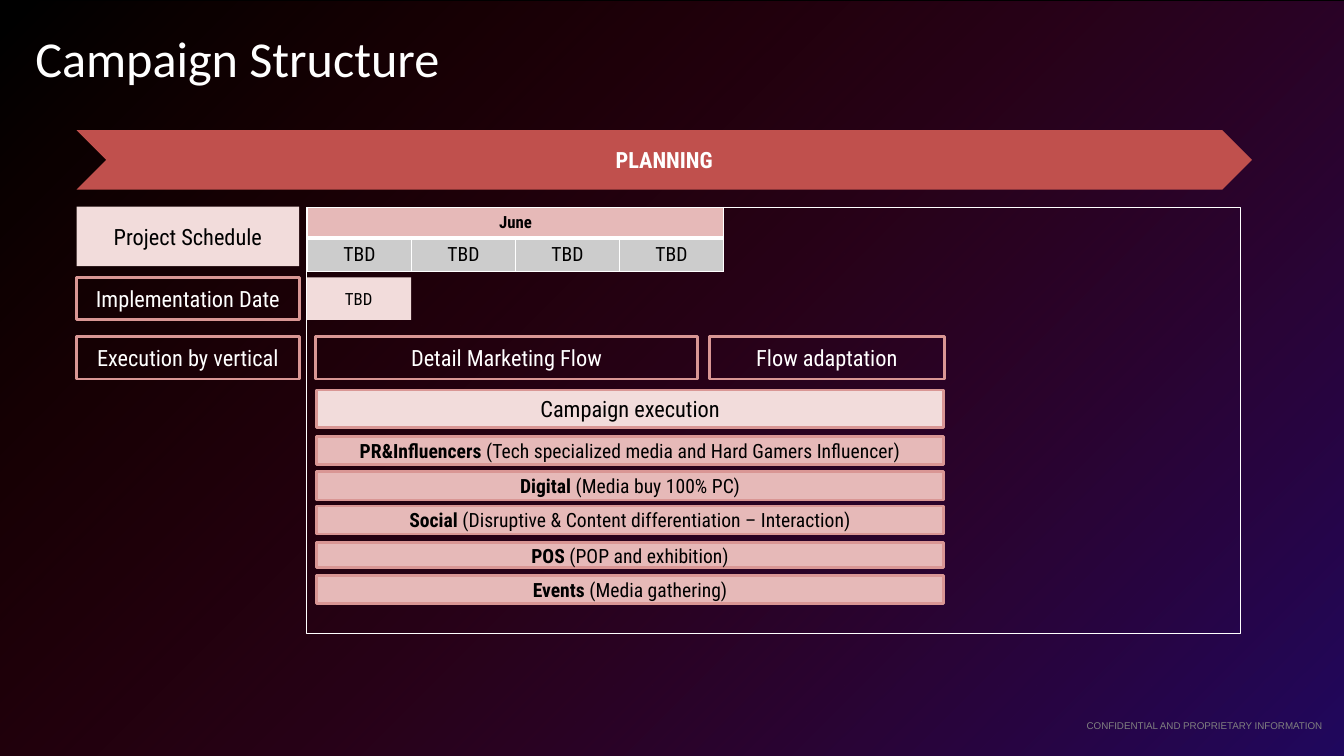
"""Build the Campaign Structure slide: a planning arrow, a schedule table and execution bars."""
from dataclasses import dataclass
from typing import Optional

from lxml import etree
from pptx import Presentation, util as u
from pptx.dml.color import RGBColor
from pptx.enum import shapes, text
from pptx.oxml import ns

COLORS = {
    "black": "000000", "white": "FFFFFF", "grey": "808080", "silver": "CCCCCC",
    "red": "C0504D", "rose": "D99694", "pink": "E6B9B8", "blush": "F2DCDB",
    "glow_start": "FF0000", "glow_end": "4210C0",
}
FONT = "Roboto Condensed"
RECT, CHEVRON = shapes.MSO_SHAPE.RECTANGLE, shapes.MSO_SHAPE.CHEVRON
LABEL_LEFT, LABEL_WIDTH, LABEL_HEIGHT = 1.93, 5.61, 1.07
DATE_TOP, FLOW_TOP = 6.99, 8.48
FRAME_LEFT, FRAME_TOP = 7.72, 5.23
BAR_LEFT, BAR_WIDTH = 7.98, 15.8


@dataclass
class Box:
    left: float
    top: float
    width: float
    height: float
    label: str = ""
    detail: str = ""
    fill: Optional[str] = None
    line: Optional[str] = None
    line_width: float = 2
    color: str = "white"
    size: float = 16
    bold: bool = False
    kind: shapes.MSO_SHAPE = RECT


@dataclass
class Caption:
    left: float
    top: float
    width: float
    height: float
    label: str
    font: str
    size: float
    color: str
    align: text.PP_ALIGN
    inset_x: float
    inset_y: float


def rgb(name: str) -> RGBColor:
    return RGBColor.from_string(COLORS[name])


def style_font(font, name: str, size: float, color: str) -> None:
    font.name, font.size = name, u.Pt(size)
    font.color.rgb = rgb(color)


def draw_box(page, box: Box):
    shape = page.shapes.add_shape(
        box.kind, u.Cm(box.left), u.Cm(box.top), u.Cm(box.width), u.Cm(box.height))
    shape.shadow.inherit = False
    if box.fill:
        shape.fill.solid()
        shape.fill.fore_color.rgb = rgb(box.fill)
    else:
        shape.fill.background()
    if box.line:
        shape.line.color.rgb = rgb(box.line)
        shape.line.width = u.Pt(box.line_width)
    else:
        shape.line.fill.background()
    if box.label:
        shape.text_frame.vertical_anchor = text.MSO_ANCHOR.MIDDLE
        para = shape.text_frame.paragraphs[0]
        para.alignment = text.PP_ALIGN.CENTER
        style_font(para.font, FONT, box.size, box.color)
        span = para.add_run()
        span.text = box.label
        span.font.bold = box.bold
        if box.detail:
            para.add_run().text = f" {box.detail}"
    return shape


def draw_glow(page, width: float, height: float) -> None:
    shape = draw_box(page, Box(0, 0.03, width, height))
    shape.fill.gradient()
    shape.fill.gradient_angle = 315
    stops = shape.fill.gradient_stops
    for stop, position, color in zip(stops, (0, 1), ("glow_start", "glow_end")):
        stop.position = position
        stop.color.rgb = rgb(color)
    for node, alpha in zip(shape.element.iter(ns.qn("a:srgbClr")), (0, 50000)):
        etree.SubElement(node, ns.qn("a:alpha"), val=str(alpha))


def draw_caption(page, caption: Caption) -> None:
    frame = page.shapes.add_textbox(
        u.Cm(caption.left), u.Cm(caption.top), u.Cm(caption.width), u.Cm(caption.height)).text_frame
    frame.word_wrap = True
    frame.margin_left = frame.margin_right = u.Cm(caption.inset_x)
    frame.margin_top = frame.margin_bottom = u.Cm(caption.inset_y)
    para = frame.paragraphs[0]
    para.text, para.alignment = caption.label, caption.align
    style_font(para.font, caption.font, caption.size, caption.color)


def style_cell(cell, fill: str, borders: dict[str, float]) -> None:
    properties = cell._tc.get_or_add_tcPr()
    for side, width in borders.items():
        line = etree.SubElement(properties, ns.qn(f"a:ln{side}"), w=str(u.Pt(width)))
        solid = etree.SubElement(line, ns.qn("a:solidFill"))
        etree.SubElement(solid, ns.qn("a:srgbClr"), val=COLORS["white"])
    cell.fill.solid()
    cell.fill.fore_color.rgb = rgb(fill)


def draw_schedule(page) -> None:
    heights, weeks, week_width = (0.76, 0.84), 4, 2.62
    table = page.shapes.add_table(
        2, weeks, u.Cm(7.75), u.Cm(FRAME_TOP), u.Cm(weeks * week_width), u.Cm(sum(heights))).table
    table.first_row = table.horz_banding = False
    for column in table.columns:
        column.width = u.Cm(week_width)
    for row, height in zip(table.rows, heights):
        row.height = u.Cm(height)
    table.cell(0, 0).merge(table.cell(0, weeks - 1))
    rows = (
        (("June",), 12, True, "pink", {"L": 1, "R": 1, "T": 1, "B": 3}),
        (("TBD",) * weeks, 14, False, "silver", {"L": 1, "R": 1, "T": 3, "B": 1}),
    )
    for row, (labels, size, bold, fill, borders) in zip(table.rows, rows):
        for cell in row.cells:
            style_cell(cell, fill, borders)
        for cell, label in zip(row.cells, labels):
            para = cell.text_frame.paragraphs[0]
            para.text, para.alignment = label, text.PP_ALIGN.CENTER
            style_font(para.font, FONT, size, "black")
            para.font.bold = bold


def main() -> None:
    deck = Presentation()
    width, height = 33.87, 19.05
    deck.slide_width, deck.slide_height = u.Cm(width), u.Cm(height)
    page = deck.slides.add_slide(deck.slide_layouts[6])
    page.background.fill.solid()
    page.background.fill.fore_color.rgb = rgb("black")
    draw_glow(page, width, height)

    captions = (
        Caption(26.39, 18.14, 7.48, 0.3, "CONFIDENTIAL AND PROPRIETARY INFORMATION",
                "Arial", 7, "grey", text.PP_ALIGN.RIGHT, 0.55, 0),
        Caption(0.64, 0.56, 14.71, 1.63, "Campaign Structure",
                "Calibri", 35.9, "white", text.PP_ALIGN.LEFT, 0.25, 0.13),
    )
    for caption in captions:
        draw_caption(page, caption)

    draw_schedule(page)
    outlined = (
        (LABEL_LEFT, DATE_TOP, LABEL_WIDTH, "Implementation Date"),
        (LABEL_LEFT, FLOW_TOP, LABEL_WIDTH, "Execution by vertical"),
        (7.95, FLOW_TOP, 9.63, "Detail Marketing Flow"),
        (17.88, FLOW_TOP, 5.92, "Flow adaptation"),
    )
    verticals = (
        (11.0, 0.71, "PR&Influencers", "(Tech specialized media and Hard Gamers Influencer)"),
        (11.89, 0.71, "Digital", "(Media buy 100% PC)"),
        (12.75, 0.71, "Social", "(Disruptive & Content differentiation – Interaction)"),
        (13.67, 0.64, "POS", "(POP and exhibition)"),
        (14.5, 0.71, "Events", "(Media gathering)"),
    )
    boxes = [
        Box(LABEL_LEFT, 3.28, 29.62, 1.5, "PLANNING", fill="red", bold=True, kind=CHEVRON),
        Box(LABEL_LEFT, 5.21, LABEL_WIDTH, 1.5, "Project Schedule", fill="blush", color="black"),
        Box(FRAME_LEFT, DATE_TOP, 2.64, LABEL_HEIGHT, "TBD", fill="blush", color="black", size=12),
        Box(FRAME_LEFT, FRAME_TOP, 23.55, 10.74, line="white", line_width=0.75),
        *(Box(left, top, wide, LABEL_HEIGHT, label, line="rose")
          for left, top, wide, label in outlined),
        *(Box(BAR_LEFT, top, BAR_WIDTH, tall, label, detail, fill="pink", line="rose",
              color="black", size=14, bold=True) for top, tall, label, detail in verticals),
        Box(BAR_LEFT, 9.83, BAR_WIDTH, 0.94, "Campaign execution",
            fill="blush", line="rose", color="black"),
    ]
    for box in boxes:
        draw_box(page, box)
    deck.save("out.pptx")


if __name__ == "__main__":
    main()
